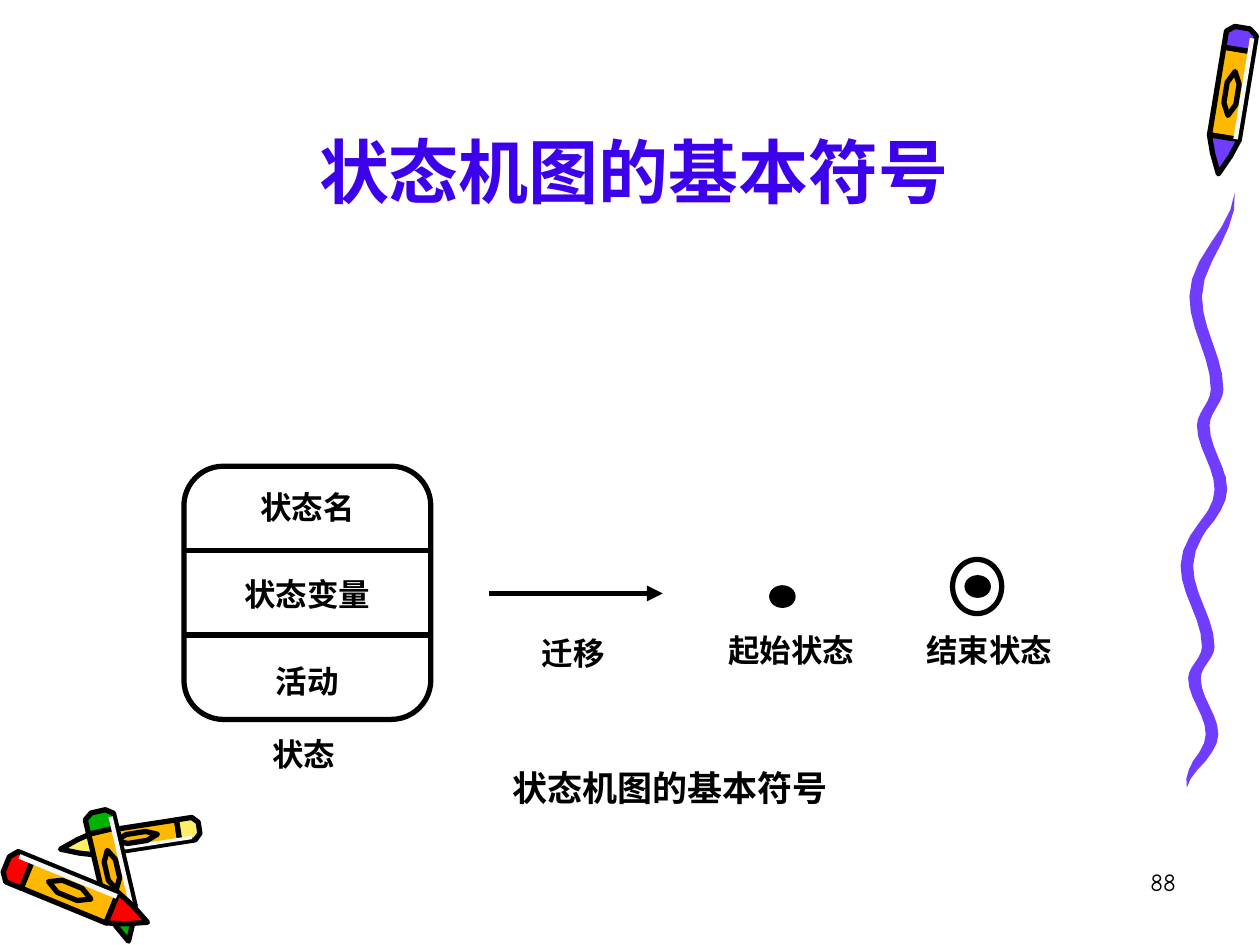
from dataclasses import dataclass
from math import cos, hypot, pi
from typing import List, Optional, Tuple

from lxml.etree import SubElement
from pptx import Presentation
from pptx.dml.color import RGBColor
from pptx.enum.shapes import MSO_CONNECTOR, MSO_SHAPE
from pptx.enum.text import MSO_ANCHOR, MSO_AUTO_SIZE, PP_ALIGN
from pptx.oxml.ns import qn
from pptx.util import Inches, Pt

Point = Tuple[float, float]

BLACK = RGBColor(0x00, 0x00, 0x00)
WHITE = RGBColor(0xFF, 0xFF, 0xFF)
PALE = RGBColor(0xF8, 0xF8, 0xF8)
CREAM = RGBColor(0xFF, 0xEF, 0x66)
RED = RGBColor(0xFF, 0x00, 0x00)
ORANGE = RGBColor(0xFF, 0xB8, 0x00)
GREEN = RGBColor(0x00, 0xB2, 0x00)
VIOLET = RGBColor(0x70, 0x3D, 0xFF)
TITLE_BLUE = RGBColor(0x3D, 0x00, 0xEA)
BODY_FONT, TITLE_FONT = "Times New Roman", "Comic Neue"
THICK, THIN = 3, 0.75

# Crayon parts: x runs from 0 (tail) to 1 (tip), y from -1 to 1 across
CAP = [(0.04, -1), (0, -0.5), (0, 0.5), (0.04, 1), (0.15, 1), (0.15, -1)]
WRAPPER = [(0.15, -1), (0.15, 1), (0.75, 1), (0.75, -1)]
HIGHLIGHT = [(0.06, -0.9), (0.06, -0.6), (0.75, -0.6), (0.75, -0.9)]
CONE = [(0.75, -1), (0.75, 1), (0.87, 0.6), (1, 0), (0.87, -0.6)]
EMBLEM = [(0.3, 0), (0.38, 0.4), (0.52, 0.4), (0.6, 0), (0.52, -0.4), (0.38, -0.4)]

# Squiggle turning points: fraction of the height, distance from the left
TURNS = [(0, 0.35), (0.29, 0.04), (0.55, 0.21), (0.65, 0.1), (0.83, 0.24), (1, 0.04)]
STEPS_PER_TURN = 6
HALF_STROKE = 0.05


@dataclass
class Crayon:
    tail: Point
    tip: Point
    width: float
    wax: RGBColor


@dataclass
class Strand:
    left: float
    top: float
    height: float


@dataclass
class Label:
    text: str
    left: float
    top: float
    width: float
    height: float = 0.5
    size: int = 18
    spacing: Optional[float] = 0.72
    anchor: MSO_ANCHOR = MSO_ANCHOR.TOP
    align: PP_ALIGN = PP_ALIGN.CENTER
    font: str = BODY_FONT
    color: RGBColor = BLACK
    bold: bool = True
    fill: Optional[RGBColor] = WHITE


def style_shape(shape, fill: Optional[RGBColor], line_width: float = 0) -> None:
    shape.shadow.inherit = False
    if fill is None:
        shape.fill.background()
    else:
        shape.fill.solid()
        shape.fill.fore_color.rgb = fill
    if line_width:
        shape.line.color.rgb = BLACK
        shape.line.width = Pt(line_width)
    else:
        shape.line.fill.background()


def draw_polygon(slide, points: List[Point], fill: Optional[RGBColor], line_width: float = 0) -> None:
    start, *rest = [(Inches(x), Inches(y)) for x, y in points]
    builder = slide.shapes.build_freeform(*start)
    builder.add_line_segments(rest, close=True)
    style_shape(builder.convert_to_shape(), fill, line_width)


def draw_crayon(slide, crayon: Crayon) -> None:
    """Turn and stretch the crayon parts to run from tail to tip."""
    (tail_x, tail_y), (tip_x, tip_y) = crayon.tail, crayon.tip
    run, rise = tip_x - tail_x, tip_y - tail_y
    half = crayon.width / 2 / hypot(run, rise)
    for part, fill, line_width in ((WRAPPER, ORANGE, THICK), (CAP, crayon.wax, THICK), (CONE, crayon.wax, THICK),
                                   (HIGHLIGHT, PALE, 0), (EMBLEM, None, THICK)):
        points = [(tail_x + along * run - across * half * rise, tail_y + along * rise + across * half * run)
                  for along, across in part]
        draw_polygon(slide, points, fill, line_width)


def draw_strand(slide, strand: Strand) -> None:
    """Ease between the turning points, with a stroke that tapers at both ends."""
    left_edge, right_edge = [], []
    for (start, start_x), (end, end_x) in zip(TURNS, TURNS[1:]):
        for step in range(STEPS_PER_TURN + 1):
            share = step / STEPS_PER_TURN
            fraction = start + (end - start) * share
            center = strand.left + start_x + (end_x - start_x) * (1 - cos(pi * share)) / 2
            half = HALF_STROKE * min(1, 6 * fraction, 12 * (1 - fraction))
            y = strand.top + strand.height * fraction
            left_edge.append((center - half, y))
            right_edge.append((center + half, y))
    draw_polygon(slide, left_edge + right_edge[::-1], VIOLET)


def write_text(shape, label: Label) -> None:
    frame_format = {"word_wrap": True, "auto_size": MSO_AUTO_SIZE.NONE, "vertical_anchor": label.anchor,
                    "margin_left": Inches(0.1), "margin_right": Inches(0.1),
                    "margin_top": Inches(0.05), "margin_bottom": Inches(0.05)}
    for name, value in frame_format.items():
        setattr(shape.text_frame, name, value)
    paragraph = shape.text_frame.paragraphs[0]
    paragraph.alignment = label.align
    if label.spacing:
        paragraph.line_spacing = label.spacing
    run = paragraph.add_run()
    run.text = label.text
    for name, value in {"name": label.font, "size": Pt(label.size), "bold": label.bold}.items():
        setattr(run.font, name, value)
    run.font.color.rgb = label.color


def draw_label(slide, label: Label) -> None:
    box = [Inches(value) for value in (label.left, label.top, label.width, label.height)]
    if label.fill is None:
        shape = slide.shapes.add_textbox(*box)
    else:
        shape = slide.shapes.add_shape(MSO_SHAPE.RECTANGLE, *box)
        style_shape(shape, label.fill)
    write_text(shape, label)


def place_title(slide, label: Label) -> None:
    for name in ("left", "top", "width", "height"):
        setattr(slide.shapes.title, name, Inches(getattr(label, name)))
    write_text(slide.shapes.title, label)


def draw_symbol(slide, kind: MSO_SHAPE, left: float, top: float, width: float, height: float,
                fill: Optional[RGBColor], line_width: float):
    shape = slide.shapes.add_shape(kind, Inches(left), Inches(top), Inches(width), Inches(height))
    style_shape(shape, fill, line_width)
    return shape


def draw_line(slide, left: float, right: float, y: float, arrow: bool = False) -> None:
    connector = slide.shapes.add_connector(
        MSO_CONNECTOR.STRAIGHT, Inches(left), Inches(y), Inches(right), Inches(y))
    connector.line.color.rgb = BLACK
    connector.line.width = Pt(THICK)
    if arrow:
        SubElement(connector.line._get_or_add_ln(), qn("a:tailEnd"), type="triangle")
    SubElement(connector._element.spPr, qn("a:effectLst"))


def main() -> None:
    presentation = Presentation()
    presentation.slide_width, presentation.slide_height = Inches(10), Inches(7.5)
    slide = presentation.slides.add_slide(presentation.slide_layouts[5])
    place_title(slide, Label("状态机图的基本符号", 2.1, 0.8, 5.86, 0.94, size=40, spacing=None,
                             anchor=MSO_ANCHOR.BOTTOM, font=TITLE_FONT, color=TITLE_BLUE))

    # Crayon pile at the lower left, crayon and squiggle at the right
    for crayon in (Crayon((1.58, 6.57), (0.48, 6.74), 0.18, CREAM), Crayon((0.78, 6.44), (1.02, 7.47), 0.23, GREEN),
                   Crayon((0.05, 6.86), (1.17, 7.32), 0.26, RED), Crayon((9.86, 0.22), (9.67, 1.38), 0.24, VIOLET)):
        draw_crayon(slide, crayon)
    for strand in (Strand(9.38, 3.77, 2.48), Strand(9.45, 1.53, 2.84)):
        draw_strand(slide, strand)

    # Page number
    draw_label(slide, Label("88", 7.35, 6.83, 2.08, size=14, spacing=None, align=PP_ALIGN.RIGHT,
                            font=TITLE_FONT, bold=False, fill=None))

    # State symbol: three compartments of equal height
    left, top, width, row_height = 1.46, 3.7, 1.96, 0.67
    state = draw_symbol(slide, MSO_SHAPE.ROUNDED_RECTANGLE, left, top, width, 3 * row_height, None, THICK)
    state.adjustments[0] = 0.16
    for row, text in enumerate(("状态名", "状态变量", "活动")):
        if row:
            draw_line(slide, left, left + width, top + row * row_height)
        draw_label(slide, Label(text, left + 0.29, top + 0.11 + row * 0.69, 1.38,
                                anchor=MSO_ANCHOR.MIDDLE, fill=None))

    # Transition arrow, start state and ringed end state
    draw_line(slide, 3.88, 5.26, 4.71, arrow=True)
    draw_symbol(slide, MSO_SHAPE.OVAL, 7.56, 4.44, 0.39, 0.43, WHITE, THICK)
    for dot_left, dot_top in ((6.11, 4.65), (7.66, 4.57)):
        draw_symbol(slide, MSO_SHAPE.OVAL, dot_left, dot_top, 0.2, 0.17, BLACK, THIN)

    # Captions
    for caption in (Label("状态", 1.92, 5.86, 0.98), Label("迁移", 4.06, 5.06, 0.98),
                    Label("起始状态", 5.59, 5.04, 1.38), Label("结束状态", 7.16, 5.04, 1.38),
                    Label("状态机图的基本符号", 3.69, 5.97, 3.26, 0.68, size=20, spacing=1.2)):
        draw_label(slide, caption)

    presentation.save("out.pptx")


if __name__ == "__main__":
    main()
